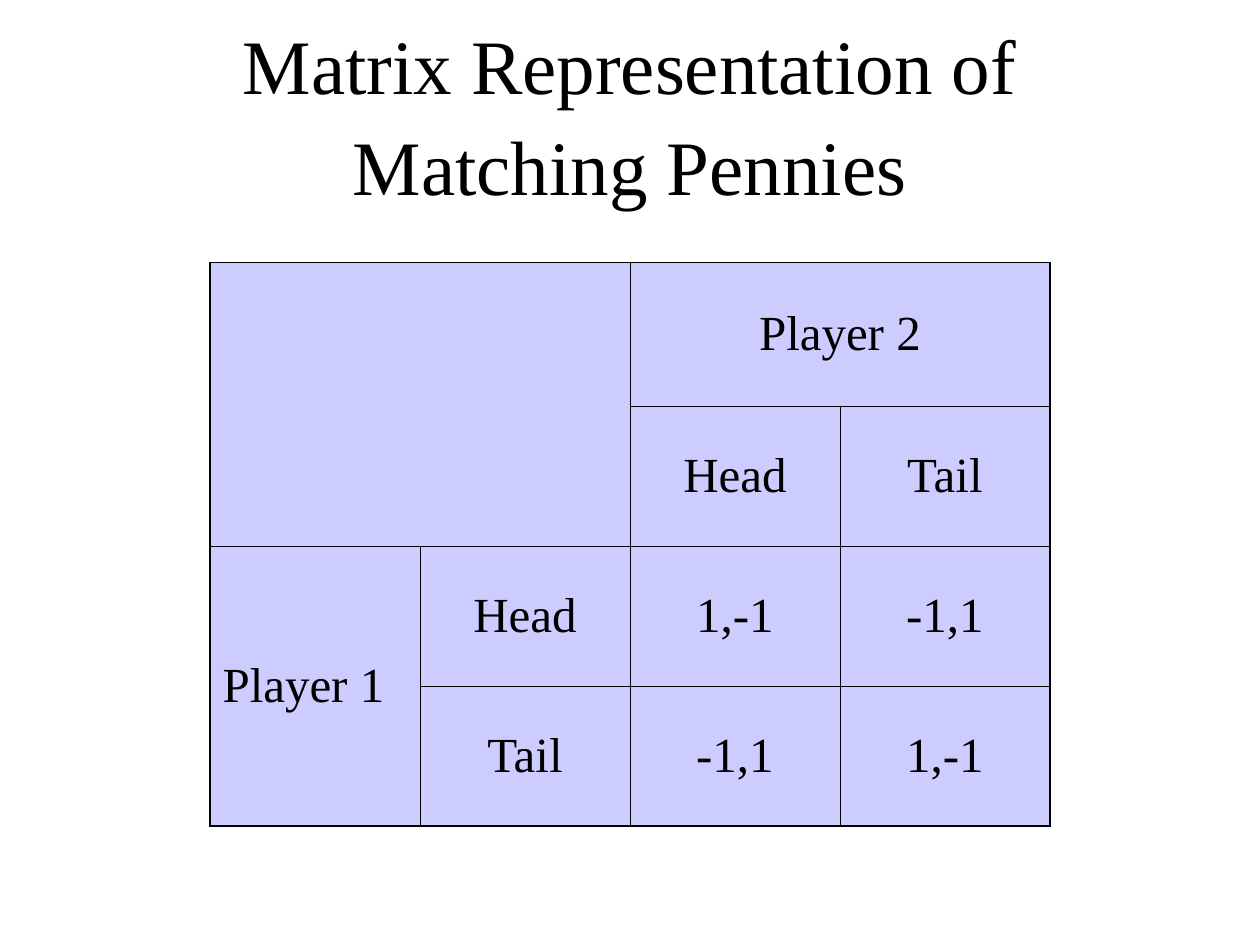
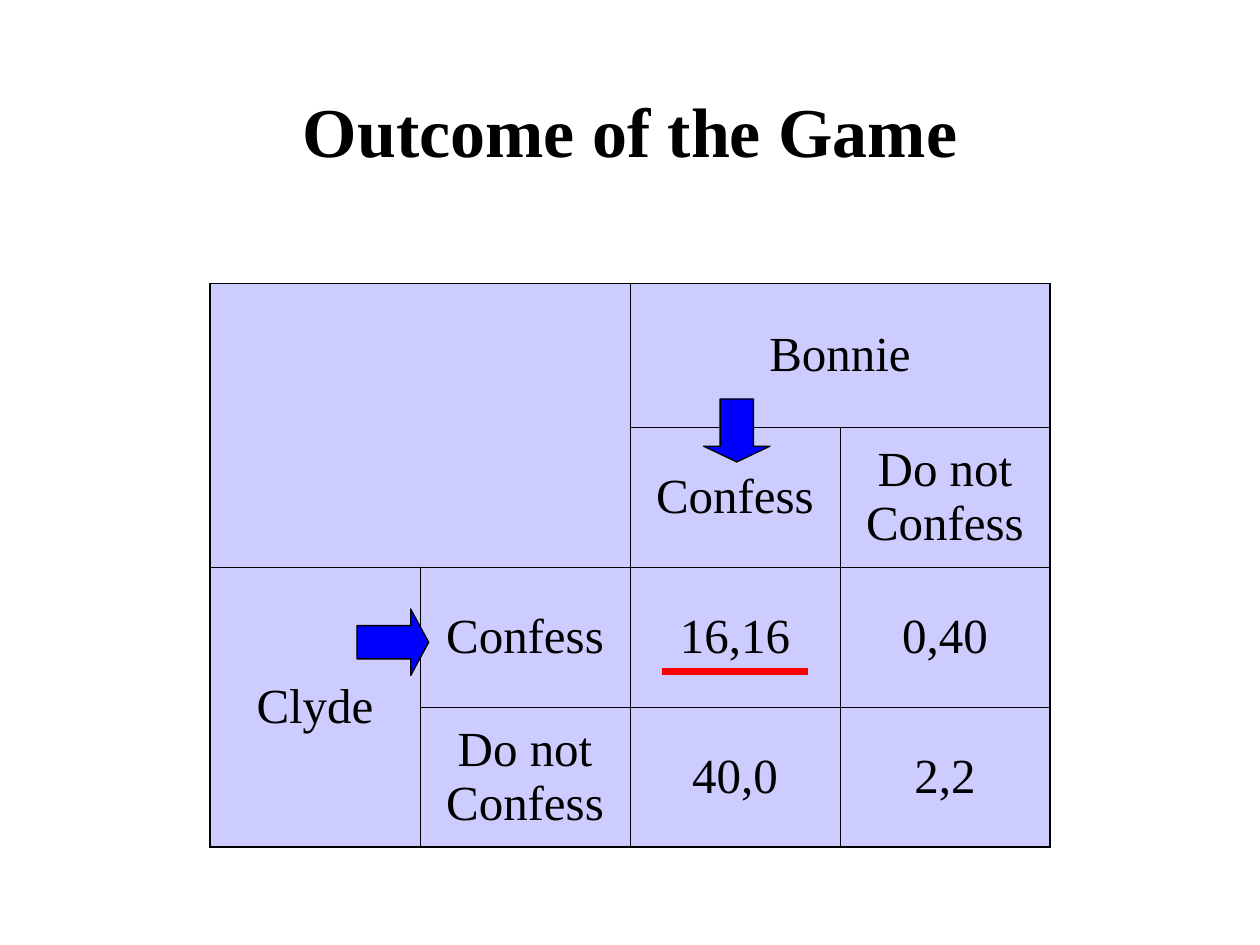
from dataclasses import dataclass

from lxml.etree import SubElement
from pptx import Presentation
from pptx.dml.color import RGBColor
from pptx.enum.shapes import MSO_CONNECTOR, MSO_SHAPE
from pptx.enum.text import MSO_ANCHOR, PP_ALIGN
from pptx.oxml.ns import qn
from pptx.util import Pt


@dataclass(frozen=True)
class Theme:
    font: str = "Times New Roman"
    ink: str = "000000"
    paper: str = "FFFFFF"
    cell: str = "CCCCFF"
    arrow: str = "0000FF"
    highlight: str = "FF0000"
    cell_size: float = 28
    title_spacing: float = 1.09
    inner_border: float = 0.45
    outer_border: float = 1.08
    arrow_outline: float = 0.75
    highlight_width: float = 4


class GameDeck:
    """Holds the theme and the slide being filled; lengths are in points."""

    MATRIX_LEFT = 120
    COLUMN_WIDTH = 120
    ROW_HEIGHTS = (82, 80, 80, 80)

    def __init__(self, theme):
        self.theme = theme
        self.deck = Presentation()
        self.deck.slide_width, self.deck.slide_height = Pt(720), Pt(540)
        self.slide = None

    def new_slide(self):
        self.slide = self.deck.slides.add_slide(self.deck.slide_layouts[6])
        background = self.slide.background.fill
        background.solid()
        background.fore_color.rgb = RGBColor.from_string(self.theme.paper)

    def format_text(self, frame, size, align=PP_ALIGN.CENTER, bold=False):
        for paragraph in frame.paragraphs:
            paragraph.alignment = align
            for run in paragraph.runs:
                run.font.name = self.theme.font
                run.font.size = Pt(size)
                run.font.bold = bold
                run.font.color.rgb = RGBColor.from_string(self.theme.ink)

    def title(self, text, left, top, width, height, size, bold=False):
        heading = self.slide.shapes.add_textbox(Pt(left), Pt(top), Pt(width), Pt(height))
        frame = heading.text_frame
        frame.word_wrap = True
        frame.vertical_anchor = MSO_ANCHOR.MIDDLE
        frame.text = text
        frame.paragraphs[0].line_spacing = self.theme.title_spacing
        self.format_text(frame, size, bold=bold)

    def border_cell(self, cell, outer_sides):
        properties = cell._tc.get_or_add_tcPr()
        for side in "LRTB":
            width = self.theme.outer_border if side in outer_sides else self.theme.inner_border
            border = SubElement(properties, qn(f"a:ln{side}"), w=str(int(Pt(width))))
            fill = SubElement(border, qn("a:solidFill"))
            SubElement(fill, qn("a:srgbClr"), val=self.theme.ink)

    def payoff_matrix(self, top, row_player, column_player, moves, payoffs,
                      row_player_align=PP_ALIGN.CENTER):
        """Draw a two-player game; both players choose from the same moves."""
        size = len(self.ROW_HEIGHTS)
        matrix = self.slide.shapes.add_table(
            size, size, Pt(self.MATRIX_LEFT), Pt(top),
            Pt(size * self.COLUMN_WIDTH), Pt(sum(self.ROW_HEIGHTS))).table
        matrix.first_row = matrix.horz_banding = False
        for column in matrix.columns:
            column.width = Pt(self.COLUMN_WIDTH)
        for row, height in zip(matrix.rows, self.ROW_HEIGHTS):
            row.height = Pt(height)
        for start, end in (((0, 0), (1, 1)), ((0, 2), (0, 3)), ((2, 0), (3, 0))):
            matrix.cell(*start).merge(matrix.cell(*end))

        labels = {(0, 2): column_player, (2, 0): row_player}
        for i, move in enumerate(moves, start=2):
            labels[1, i] = labels[i, 1] = move
            for j, payoff in enumerate(payoffs[i - 2], start=2):
                labels[i, j] = payoff

        for r in range(size):
            for c in range(size):
                cell = matrix.cell(r, c)
                if cell.is_spanned:
                    continue
                height = cell.span_height if cell.is_merge_origin else 1
                width = cell.span_width if cell.is_merge_origin else 1
                at_edge = {"L": c == 0, "R": c + width == size,
                           "T": r == 0, "B": r + height == size}
                self.border_cell(cell, [side for side in at_edge if at_edge[side]])
                cell.fill.solid()
                cell.fill.fore_color.rgb = RGBColor.from_string(self.theme.cell)
                cell.vertical_anchor = MSO_ANCHOR.MIDDLE
                cell.text_frame.text = labels.get((r, c), "")
                align = row_player_align if (r, c) == (2, 0) else PP_ALIGN.CENTER
                self.format_text(cell.text_frame, self.theme.cell_size, align)

    def choice_arrow(self, preset, left, top, width, height, head):
        arrow = self.slide.shapes.add_shape(preset, Pt(left), Pt(top), Pt(width), Pt(height))
        arrow.shadow.inherit = False
        arrow.adjustments[0] = 0.5
        arrow.adjustments[1] = head
        arrow.fill.solid()
        arrow.fill.fore_color.rgb = RGBColor.from_string(self.theme.arrow)
        arrow.line.color.rgb = RGBColor.from_string(self.theme.ink)
        arrow.line.width = Pt(self.theme.arrow_outline)

    def underline(self, left, right, y):
        rule = self.slide.shapes.add_connector(
            MSO_CONNECTOR.STRAIGHT, Pt(left), Pt(y), Pt(right), Pt(y))
        rule.line.color.rgb = RGBColor.from_string(self.theme.highlight)
        rule.line.width = Pt(self.theme.highlight_width)
        SubElement(rule._element.spPr, qn("a:effectLst"))


def main():
    game = GameDeck(Theme())

    game.new_slide()
    game.title("Matrix Representation of Matching Pennies", 54, 18, 612, 90, size=44)
    game.payoff_matrix(150, "Player 1", "Player 2", ("Head", "Tail"),
                       (("1,-1", "-1,1"), ("-1,1", "1,-1")),
                       row_player_align=PP_ALIGN.LEFT)

    game.new_slide()
    game.title("Outcome of the Game", 42, 30, 636, 84, size=40, bold=True)
    game.payoff_matrix(162, "Clyde", "Bonnie", ("Confess", "Do not Confess"),
                       (("16,16", "0,40"), ("40,0", "2,2")))
    game.choice_arrow(MSO_SHAPE.RIGHT_ARROW, 204, 348, 41, 38, head=0.27)
    game.choice_arrow(MSO_SHAPE.DOWN_ARROW, 402, 228, 38, 36, head=0.25)
    game.underline(378, 462, 384)

    game.deck.save("out.pptx")


if __name__ == "__main__":
    main()
